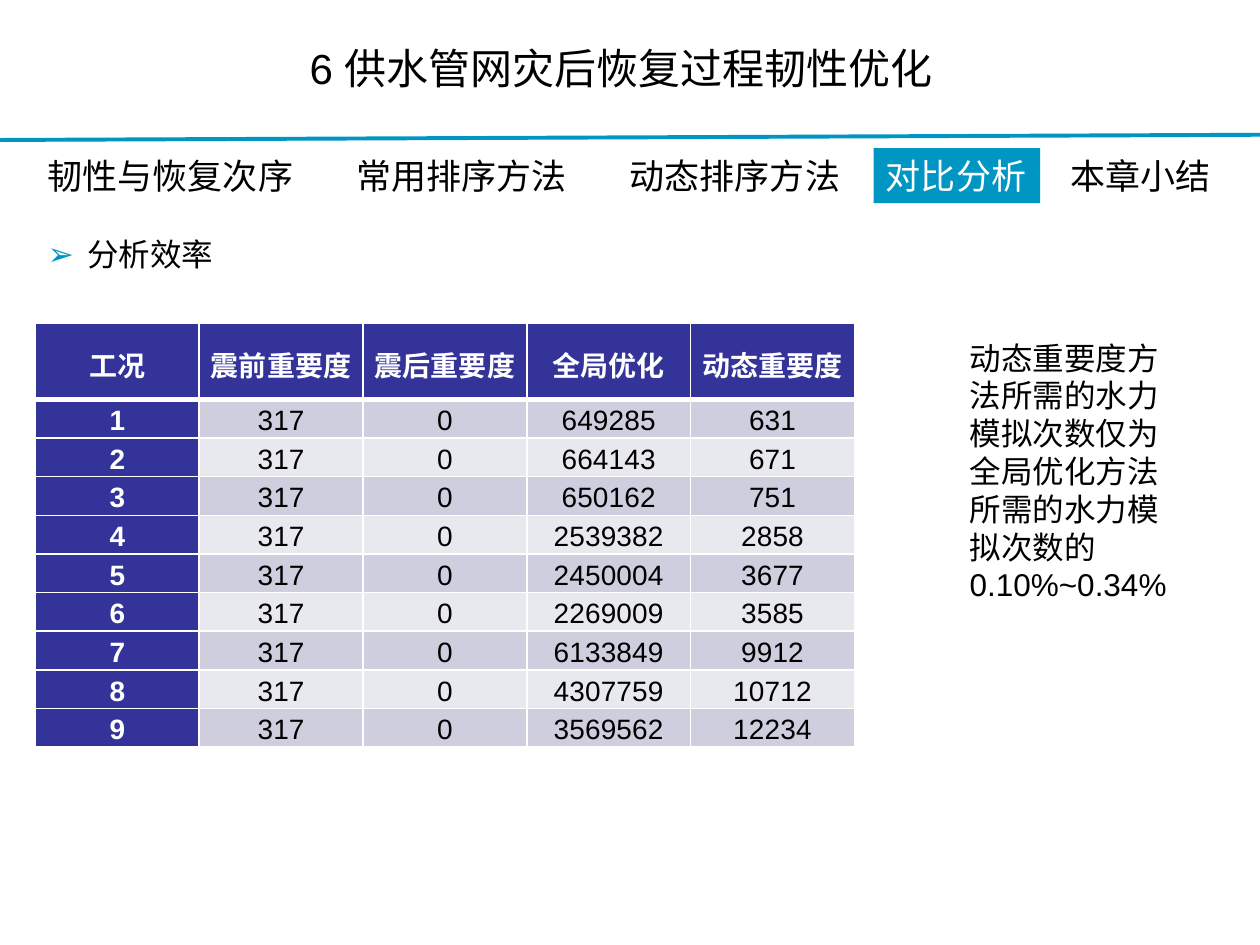
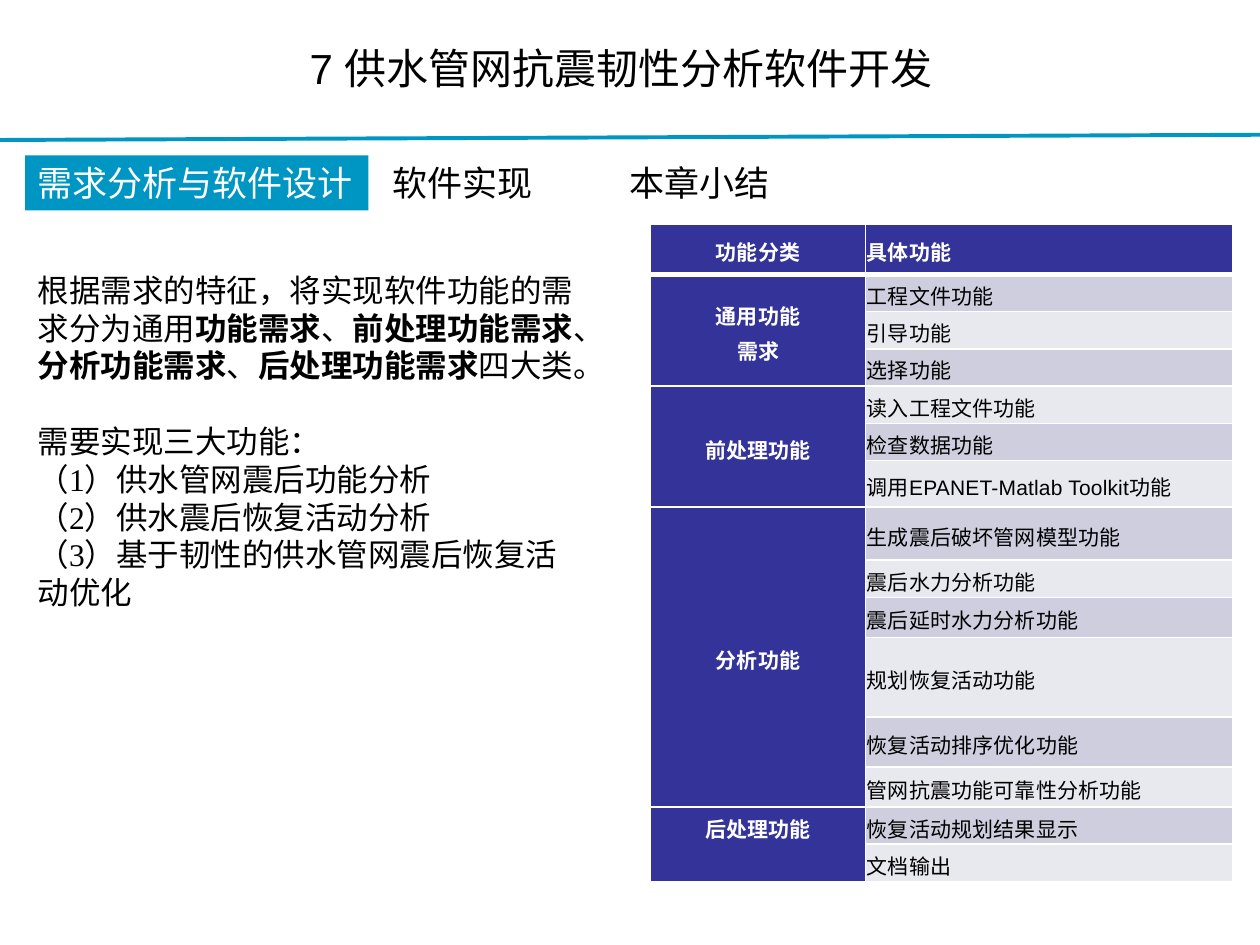
import dataclasses

import lxml.etree
import pptx
import pptx.dml.color
import pptx.enum.shapes
import pptx.enum.text
import pptx.oxml.ns
import pptx.util

Pt = pptx.util.Pt
Align = pptx.enum.text.PP_ALIGN
Anchor = pptx.enum.text.MSO_ANCHOR


@dataclasses.dataclass(frozen=True)
class Theme:
    accent: str = "0096C3"
    header: str = "333399"
    bands: tuple = ("E8E8EF", "CECEDE")
    light: str = "FFFFFF"
    dark: str = "000000"
    font: str = "Arial"
    serif: str = "Times New Roman"
    title_size: float = 24
    tab_size: float = 20
    body_size: float = 18
    efficiency_size: float = 16
    function_size: float = 12
    blank_line: float = 21.6


THEME = Theme()


def rgb(value):
    return pptx.dml.color.RGBColor.from_string(value)


def add_element(parent, tag, **attributes):
    name = pptx.oxml.ns.qn(tag)
    return lxml.etree.SubElement(parent, name, attributes)


def add_run(paragraph, text, size, color=THEME.dark, bold=False,
            font=THEME.font, spacing=None):
    run = paragraph.add_run()
    run.text = text
    run.font.size = Pt(size)
    run.font.name = font
    run.font.bold = bold
    run.font.color.rgb = rgb(color)
    properties = run._r.get_or_add_rPr()
    properties.set("lang", "zh-CN")
    if spacing:
        properties.set("spc", str(spacing))


def fit_text(shape, wrap):
    frame = shape.text_frame
    frame.word_wrap = wrap
    frame.auto_size = pptx.enum.text.MSO_AUTO_SIZE.SHAPE_TO_FIT_TEXT
    return frame


def add_text_box(slide, left, top, width, height, wrap=True):
    box = slide.shapes.add_textbox(Pt(left), Pt(top), Pt(width), Pt(height))
    return fit_text(box, wrap)


def add_title(slide, text):
    frame = add_text_box(slide, 0, 12.2, 710, 53.3)
    frame.auto_size = pptx.enum.text.MSO_AUTO_SIZE.NONE
    frame.vertical_anchor = Anchor.MIDDLE
    paragraph = frame.paragraphs[0]
    paragraph.alignment = Align.CENTER
    add_run(paragraph, text, THEME.title_size)


def add_title_rule(slide):
    rule = slide.shapes.add_connector(
        pptx.enum.shapes.MSO_CONNECTOR.STRAIGHT, Pt(-1.4), Pt(80), Pt(723), Pt(77))
    rule.line.color.rgb = rgb(THEME.accent)
    rule.line.width = Pt(2.25)
    add_element(rule._element.spPr, "a:effectLst")


def add_section_tabs(slide, top, tabs, current):
    for name, left in tabs:
        width = 20.2 * len(name) + 14.4
        height = 31.5
        if name == current:
            shape = slide.shapes.add_shape(
                pptx.enum.shapes.MSO_SHAPE.RECTANGLE,
                Pt(left), Pt(top), Pt(width), Pt(height))
            shape.shadow.inherit = False
            shape.fill.solid()
            shape.fill.fore_color.rgb = rgb(THEME.accent)
            shape.line.fill.background()
            frame = fit_text(shape, False)
            frame.vertical_anchor = Anchor.TOP
            color = THEME.light
        else:
            frame = add_text_box(slide, left, top, width, height, wrap=False)
            color = THEME.dark
        paragraph = frame.paragraphs[0]
        paragraph.alignment = Align.LEFT
        add_run(paragraph, name, THEME.tab_size, color)


def add_bullet_heading(slide, text):
    frame = add_text_box(slide, 20.2, 131, 115.2, 28.8, wrap=False)
    paragraph = frame.paragraphs[0]
    properties = paragraph._p.get_or_add_pPr()
    indent = Pt(22.5)
    properties.set("marL", str(indent))
    properties.set("indent", str(-indent))
    color = add_element(properties, "a:buClr")
    add_element(color, "a:srgbClr", val=THEME.accent)
    add_element(properties, "a:buFont", typeface=THEME.font)
    add_element(properties, "a:buChar", char="➢")
    add_run(paragraph, text, THEME.body_size)


def set_borders(cell, top=1, bottom=1):
    properties = cell._tc.get_or_add_tcPr()
    sides = {"a:lnL": 1, "a:lnR": 1, "a:lnT": top, "a:lnB": bottom}
    for position, (tag, width) in enumerate(sides.items()):
        line = add_element(properties, tag, w=str(Pt(width)))
        fill = add_element(line, "a:solidFill")
        add_element(fill, "a:srgbClr", val=THEME.light)
        properties.insert(position, line)


def style_cell(cell, row, column):
    is_header = row == 0 or column == 0
    cell.fill.solid()
    cell.fill.fore_color.rgb = rgb(THEME.header if is_header else THEME.bands[row % 2])
    set_borders(cell, top=3 if row == 1 else 1, bottom=3 if row == 0 else 1)


def fill_cell(cell, text, size, alignment, margin, is_header):
    cell.vertical_anchor = Anchor.MIDDLE
    cell.margin_left = cell.margin_right = Pt(margin)
    cell.margin_top = cell.margin_bottom = Pt(0)
    frame = cell.text_frame
    for index, line in enumerate(text.split("\n")):
        paragraph = frame.add_paragraph() if index else frame.paragraphs[0]
        paragraph.alignment = alignment
        paragraph.line_spacing = 1.15
        add_run(paragraph, line, size, THEME.light if is_header else THEME.dark,
                bold=is_header, spacing=10)


def add_banded_table(slide, left, top, widths, heights, rows, size, margin, alignments):
    frame = slide.shapes.add_table(
        len(heights), len(widths), Pt(left), Pt(top), Pt(sum(widths)), Pt(sum(heights)))
    table = frame.table
    for column, width in zip(table.columns, widths):
        column.width = Pt(width)
    for row, height in zip(table.rows, heights):
        row.height = Pt(height)
    for row, values in enumerate(rows):
        for column, value in enumerate(values):
            cell = table.cell(row, column)
            style_cell(cell, row, column)
            fill_cell(cell, value, size, alignments[column], margin,
                      row == 0 or column == 0)
    return table


def start_slide(presentation, title):
    slide = presentation.slides.add_slide(presentation.slide_layouts[6])
    add_title_rule(slide)
    add_title(slide, title)
    return slide


def build_efficiency_slide(presentation):
    slide = start_slide(presentation, "6 供水管网灾后恢复过程韧性优化")
    tabs = [("韧性与恢复次序", 20.2), ("常用排序方法", 196.6), ("动态排序方法", 352.8),
            ("对比分析", 499.2), ("本章小结", 604.8)]
    add_section_tabs(slide, 84.6, tabs, "对比分析")

    simulation_counts = [
        (649285, 631), (664143, 671), (650162, 751), (2539382, 2858), (2450004, 3677),
        (2269009, 3585), (6133849, 9912), (4307759, 10712), (3569562, 12234)]
    rows = [("工况", "震前重要度", "震后重要度", "全局优化", "动态重要度")]
    for case, (optimized, dynamic) in enumerate(simulation_counts, 1):
        rows.append((str(case), "317", "0", str(optimized), str(dynamic)))
    heights = [43.7] + [21] * len(simulation_counts)
    add_banded_table(slide, 20.2, 184.5, [93.6] * 5, heights, rows,
                     THEME.efficiency_size, 5, [Align.CENTER] * 5)

    add_bullet_heading(slide, "分析效率")
    conclusion = add_text_box(slide, 547, 190, 139.7, 160)
    add_run(conclusion.paragraphs[0],
            "动态重要度方法所需的水力模拟次数仅为全局优化方法所需的水力模拟次数的0.10%~0.34%",
            THEME.body_size)


def add_requirements(slide):
    frame = add_text_box(slide, 14.4, 151.2, 329, 204)
    summary = [
        ("根据需求的特征，将实现软件功能的需求分为通用", False), ("功能需求", True),
        ("、", False), ("前处理功能需求", True), ("、", False), ("分析功能需求", True),
        ("、", False), ("后处理功能需求", True), ("四大类。", False)]
    for text, bold in summary:
        add_run(frame.paragraphs[0], text, THEME.body_size, bold=bold, font=THEME.serif)
    goals = ["需要实现三大功能：", "（1）供水管网震后功能分析", "（2）供水震后恢复活动分析",
             "（3）基于韧性的供水管网震后恢复活动优化"]
    for index, goal in enumerate(goals):
        paragraph = frame.add_paragraph()
        if index == 0:
            paragraph.space_before = Pt(THEME.blank_line)
        add_run(paragraph, goal, THEME.body_size, font=THEME.serif)


def add_function_table(slide):
    groups = [
        ("通用功能\n需求", ["工程文件功能", "引导功能", "选择功能"]),
        ("前处理功能", ["读入工程文件功能", "检查数据功能", "调用EPANET-Matlab Toolkit功能"]),
        ("分析功能", ["生成震后破坏管网模型功能", "震后水力分析功能", "震后延时水力分析功能",
                  "规划恢复活动功能", "恢复活动排序优化功能", "管网抗震功能可靠性分析功能"]),
        ("后处理功能", ["恢复活动规划结果显示", "文档输出"])]
    rows = [("功能分类", "具体功能")]
    spans = []
    for group, functions in groups:
        spans.append((len(rows), len(rows) + len(functions) - 1))
        for index, function in enumerate(functions):
            rows.append(("" if index else group, function))
    heights = [28.4, *[21.3] * 5, 26.6, 30.3, 21.4, 22.8, 45.4, 28.7, 22.8, 21.3, 21.3]
    table = add_banded_table(slide, 371.8, 128.4, [122.8, 209.8], heights, rows,
                             THEME.function_size, 0.7, [Align.CENTER, Align.LEFT])
    for first, last in spans:
        table.cell(first, 0).merge(table.cell(last, 0))

    output_group = table.cell(spans[-1][0], 0)
    output_group.vertical_anchor = Anchor.TOP
    output_group.margin_top = output_group.margin_bottom = Pt(3.6)
    output_group.text_frame.paragraphs[0].line_spacing = 1.0


def build_software_slide(presentation):
    slide = start_slide(presentation, "7 供水管网抗震韧性分析软件开发")
    tabs = [("需求分析与软件设计", 14.4), ("软件实现", 217.4), ("本章小结", 352.8)]
    add_section_tabs(slide, 88.8, tabs, "需求分析与软件设计")
    add_requirements(slide)
    add_function_table(slide)


def main():
    presentation = pptx.Presentation()
    presentation.slide_width = Pt(720)
    presentation.slide_height = Pt(540)
    build_efficiency_slide(presentation)
    build_software_slide(presentation)
    presentation.save("out.pptx")


if __name__ == "__main__":
    main()
